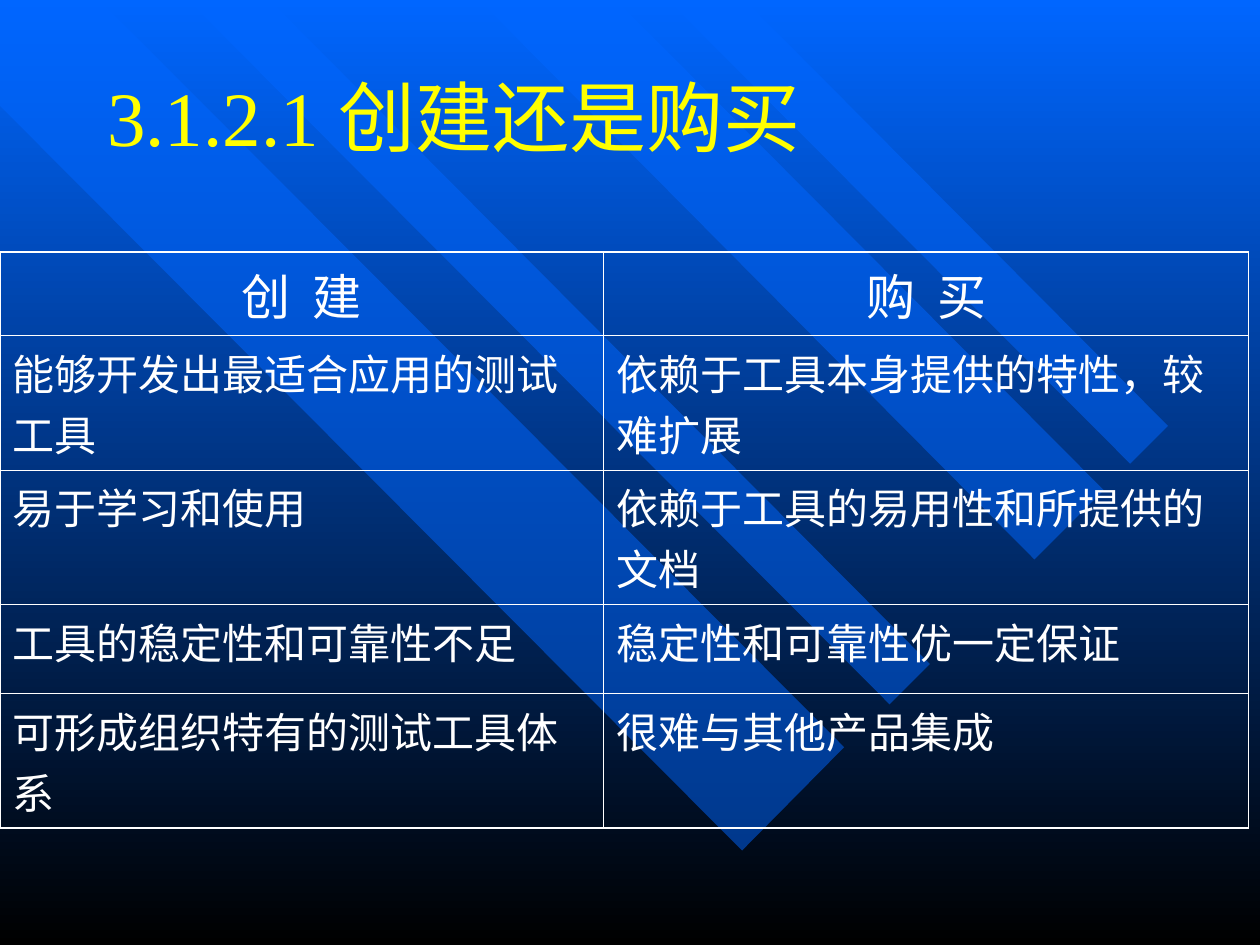
from lxml import etree
from pptx import Presentation
from pptx.dml.color import RGBColor
from pptx.enum.text import MSO_ANCHOR, MSO_AUTO_SIZE, PP_ALIGN
from pptx.oxml.ns import qn
from pptx.util import Inches, Pt

LEFT, CENTER = PP_ALIGN.LEFT, PP_ALIGN.CENTER
FONT = "Times New Roman"
COLORS = {"blue": "0066FF", "black": "000000", "title": "FFFF00", "text": "FFFFFF"}

TITLE = "3.1.2.1 创建还是购买"
COMPARISON = [
    ("创  建", "购  买"),
    ("能够开发出最适合应用的测试工具", "依赖于工具本身提供的特性，较难扩展"),
    ("易于学习和使用", "依赖于工具的易用性和所提供的文档"),
    ("工具的稳定性和可靠性不足", "稳定性和可靠性优一定保证"),
    ("可形成组织特有的测试工具体系", "很难与其他产品集成"),
]
COLUMN_WIDTHS = (4.79, 5.12)
ROW_HEIGHTS = (0.63, 1, 1, 0.71, 1)
HEADER = {"size": 28, "align": CENTER, "before": 7}
BODY = {"size": 24, "align": LEFT, "before": 6}
OUTER_LINE, INNER_LINE = 1.08, 0.45

# Diagonal bands of the backdrop, corner points in inches
BANDS = [
    [(6.7, 5.93), (0.79, 0), (0, 0), (0, 0.84), (5.89, 6.75)],
    [(2.14, 0), (7.38, 5.27), (7.06, 5.59), (1.49, 0)],
    [(4.89, 0), (8.76, 3.89), (8.21, 4.44), (3.8, 0)],
    [(5.3, 0), (8.97, 3.68), (9.27, 3.38), (5.91, 0)],
]
BAND_OPACITY = 50


def rgb(name):
    return RGBColor.from_string(COLORS[name])


def style_paragraph(paragraph, color, size, align, before):
    paragraph.alignment = align
    paragraph.space_before = Pt(before)
    formats = {"name": FONT, "size": Pt(size), "bold": False}
    for attribute, value in formats.items():
        setattr(paragraph.font, attribute, value)
    paragraph.font.color.rgb = rgb(color)


def paint_background(slide):
    fill = slide.background.fill
    fill.gradient()
    fill.gradient_angle = 270
    for stop, color, position in zip(fill.gradient_stops, ("blue", "black"), (0, 1)):
        stop.color.rgb = rgb(color)
        stop.position = position


def add_bands(slide):
    group = slide.shapes.add_group_shape()
    for corners in BANDS:
        start, *rest = [(Inches(x), Inches(y)) for x, y in corners]
        builder = group.shapes.build_freeform(*start)
        builder.add_line_segments(rest, close=True)
        band = builder.convert_to_shape()
        band.shadow.inherit = False
        band.line.fill.background()
        band.fill.solid()
        band.fill.fore_color.rgb = rgb("blue")
        color = band.fill._xPr.find(".//" + qn("a:srgbClr"))
        etree.SubElement(color, qn("a:alpha"), val=str(BAND_OPACITY * 1000))


def add_title(slide):
    title = slide.shapes.title
    place = {"left": 0.75, "top": 0.25, "width": 8.5, "height": 1.33}
    for attribute, value in place.items():
        setattr(title, attribute, Inches(value))
    frame = title.text_frame
    frame.text = TITLE
    frame.auto_size = MSO_AUTO_SIZE.NONE
    frame.vertical_anchor = MSO_ANCHOR.MIDDLE
    style_paragraph(frame.paragraphs[0], "title", 44, LEFT, 0)
    slide.shapes._spTree.append(title._element)  # bring in front of the bands


def set_borders(cell, outer_sides):
    """Draw all four edges, heavier where the edge is on the table's outline."""
    properties = cell._tc.get_or_add_tcPr()
    for index, side in enumerate("LRTB"):
        width = OUTER_LINE if side in outer_sides else INNER_LINE
        line = etree.Element(qn(f"a:ln{side}"), w=str(Pt(width)))
        fill = etree.SubElement(line, qn("a:solidFill"))
        etree.SubElement(fill, qn("a:srgbClr"), val=COLORS["text"])
        properties.insert(index, line)


def add_comparison(slide):
    rows, columns = len(COMPARISON), len(COLUMN_WIDTHS)
    table = slide.shapes.add_table(
        rows, columns, 0, Inches(2),
        Inches(sum(COLUMN_WIDTHS)), Inches(sum(ROW_HEIGHTS)),
    ).table
    table.first_row = table.horz_banding = False
    for column, width in zip(table.columns, COLUMN_WIDTHS):
        column.width = Inches(width)
    for r, (texts, height) in enumerate(zip(COMPARISON, ROW_HEIGHTS)):
        table.rows[r].height = Inches(height)
        for c, text in enumerate(texts):
            cell = table.cell(r, c)
            cell.text = text
            cell.fill.background()
            style_paragraph(cell.text_frame.paragraphs[0], "text",
                            **(BODY if r else HEADER))
            on_outline = {"L": c == 0, "R": c == columns - 1,
                          "T": r == 0, "B": r == rows - 1}
            set_borders(cell, [side for side, outer in on_outline.items() if outer])


def main():
    presentation = Presentation()
    presentation.slide_width, presentation.slide_height = Inches(10), Inches(7.5)
    slide = presentation.slides.add_slide(presentation.slide_layouts[5])
    paint_background(slide)
    add_bands(slide)
    add_title(slide)
    add_comparison(slide)
    presentation.save("out.pptx")


if __name__ == "__main__":
    main()
